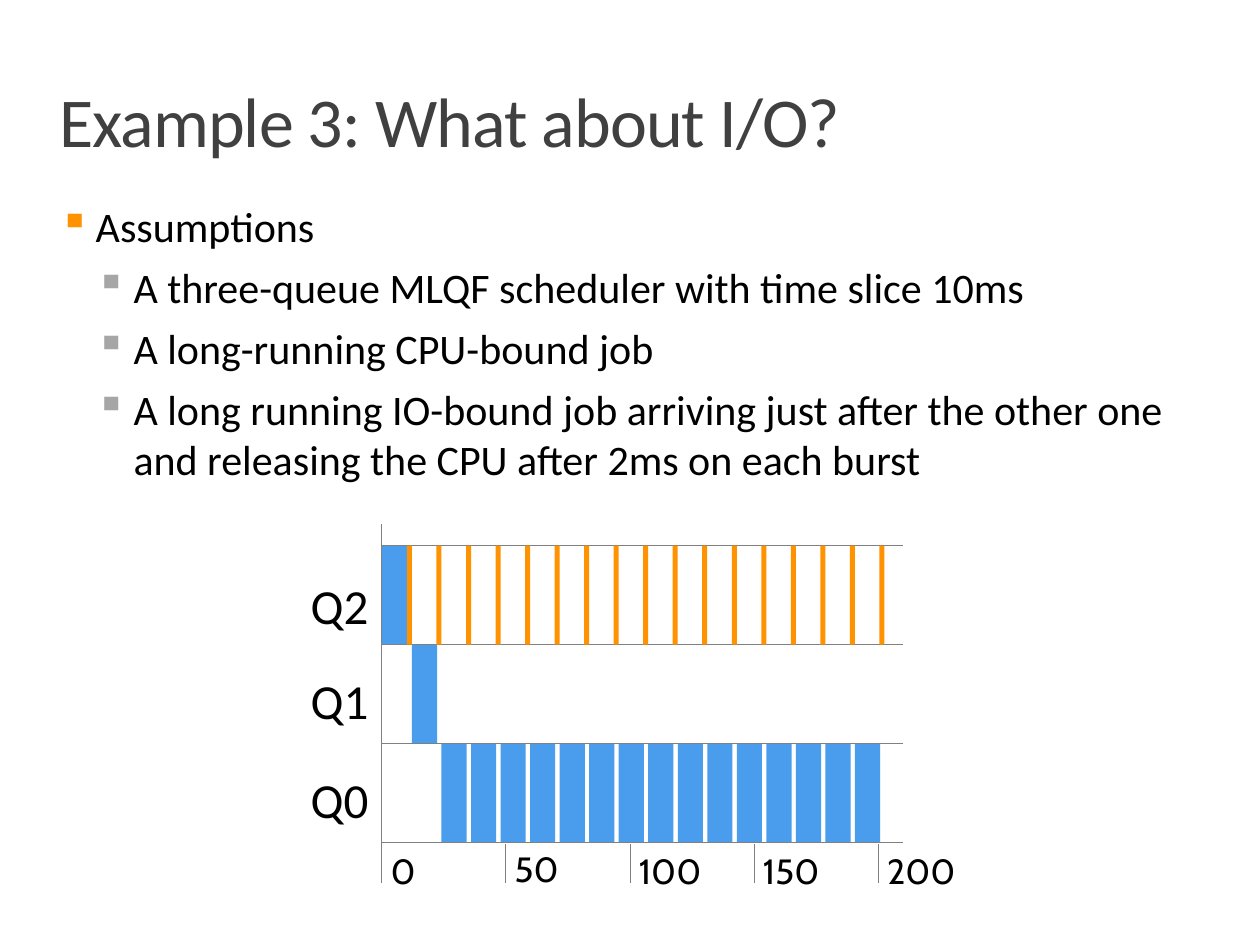
"""Build the slide on an I/O-bound job in a three-queue scheduler."""
from lxml.etree import SubElement
from pptx import Presentation
from pptx.dml.color import RGBColor
from pptx.enum.shapes import MSO_CONNECTOR as Connector, MSO_SHAPE as Shape
from pptx.enum.text import PP_ALIGN as Align
from pptx.oxml.ns import qn
from pptx.util import Inches, Pt

BLACK = RGBColor(0x00, 0x00, 0x00)
DARK = RGBColor(0x40, 0x40, 0x40)
GRAY = RGBColor(0x80, 0x80, 0x80)
SILVER = RGBColor(0xA6, 0xA6, 0xA6)
ORANGE = RGBColor(0xFF, 0x92, 0x00)
BLUE = RGBColor(0x49, 0x9D, 0xEC)

AXIS_X, CHART_RIGHT = 3.03, 7.17
CHART_TOP, CHART_BOTTOM = 4.33, 6.69
ROW = (CHART_BOTTOM - CHART_TOP) / 3
TICK_GAP = (6.97 - AXIS_X) / 4
CPU_WIDTH, IO_WIDTH = 0.2, 0.04
FIRST_IO = AXIS_X + CPU_WIDTH
PERIOD = (6.98 - FIRST_IO) / 16

BULLETS = [
    (0, "Assumptions"),
    (1, "A three-queue MLQF scheduler with time slice 10ms"),
    (1, "A long-running CPU-bound job"),
    (1, "A long running IO-bound job arriving just after the other one "
        "and releasing the CPU after 2ms on each burst"),
]


def add_span(para, text, size, color=BLACK, font="Calibri"):
    span = para.add_run()
    span.text = text
    span.font.size = Pt(size)
    span.font.name = font
    span.font.color.rgb = color
    return span


def add_box(shapes, left, top, width, height, insets=(0, 0, 0, 0), wrap=True):
    box = shapes.add_textbox(Inches(left), Inches(top), Inches(width), Inches(height))
    frame = box.text_frame
    frame.word_wrap = wrap
    (frame.margin_left, frame.margin_top,
     frame.margin_right, frame.margin_bottom) = map(Inches, insets)
    return frame


def add_bar(shapes, left, row, width, color):
    bar = shapes.add_shape(Shape.RECTANGLE, Inches(left), Inches(CHART_TOP + row * ROW),
                           Inches(width), Inches(ROW))
    bar.shadow.inherit = False
    bar.fill.solid()
    bar.fill.fore_color.rgb = color
    bar.line.fill.background()


def add_line(shapes, x1, y1, x2, y2):
    line = shapes.add_connector(Connector.STRAIGHT, Inches(x1), Inches(y1),
                                Inches(x2), Inches(y2))
    line.line.color.rgb = GRAY
    line.line.width = Pt(0.5)
    SubElement(line._element.spPr, qn("a:effectLst"))


def set_bullet(para, level, color):
    para.level = level
    props = para._p.get_or_add_pPr()
    props.set("marL", str(Inches((0.29, 0.59)[level])))
    props.set("indent", str(-Inches((0.29, 0.3)[level])))
    tint = SubElement(props, qn("a:buClr"))
    SubElement(tint, qn("a:srgbClr"), val=str(color))
    SubElement(props, qn("a:buChar"), char="▪")


def add_title(shapes):
    para = add_box(shapes, 0.47, 0.7, 9.06, 0.89, (0, 0.04, 0, 0)).paragraphs[0]
    para.line_spacing = 0.8
    span = add_span(para, "Example 3: What about I/O?", 40, DARK)
    span.font._element.set("spc", "-50")


def add_bullets(shapes):
    frame = add_box(shapes, 0.47, 1.59, 9.06, 2.4)
    for index, (level, text) in enumerate(BULLETS):
        para = frame.add_paragraph() if index else frame.paragraphs[0]
        set_bullet(para, level, SILVER if level else ORANGE)
        if index:
            para.space_before = Pt(6)
        add_span(para, text, 24)


def add_axes(shapes):
    for row in range(4):
        y = CHART_TOP + row * ROW
        add_line(shapes, AXIS_X, y, CHART_RIGHT, y)
    for tick in range(5):
        x = AXIS_X + tick * TICK_GAP
        add_line(shapes, x, 6.7 if tick else 4.16, x, 7.01)
        label = add_box(shapes, x + 0.07, 6.68 if tick == 1 else 6.69, 0.98, 0.4,
                        (0, 0.05, 0, 0.05))
        add_span(label.paragraphs[0], str(50 * tick), 20, font="Cabin")
    for name, top in (("Q2", 4.52), ("Q1", 5.27), ("Q0", 6.06)):
        label = add_box(shapes, 2.35, top, 0.69, 0.57, (0.1, 0.05, 0.1, 0.05), wrap=False)
        label.paragraphs[0].alignment = Align.CENTER
        add_span(label.paragraphs[0], name, 28)


def add_cpu_job(shapes):
    add_bar(shapes, AXIS_X, 0, CPU_WIDTH, BLUE)
    for burst in range(16):
        add_bar(shapes, FIRST_IO + IO_WIDTH + burst * PERIOD, 2 if burst else 1,
                CPU_WIDTH, BLUE)


def add_io_job(shapes):
    for burst in range(17):
        add_bar(shapes, FIRST_IO + burst * PERIOD, 0, IO_WIDTH, ORANGE)


def main():
    deck = Presentation()
    deck.slide_width, deck.slide_height = Inches(10), Inches(7.5)
    page = deck.slides.add_slide(deck.slide_layouts[6])
    add_title(page.shapes)
    add_bullets(page.shapes)
    for add_part in (add_cpu_job, add_axes, add_io_job):
        add_part(page.shapes.add_group_shape().shapes)
    deck.save("out.pptx")


if __name__ == "__main__":
    main()
